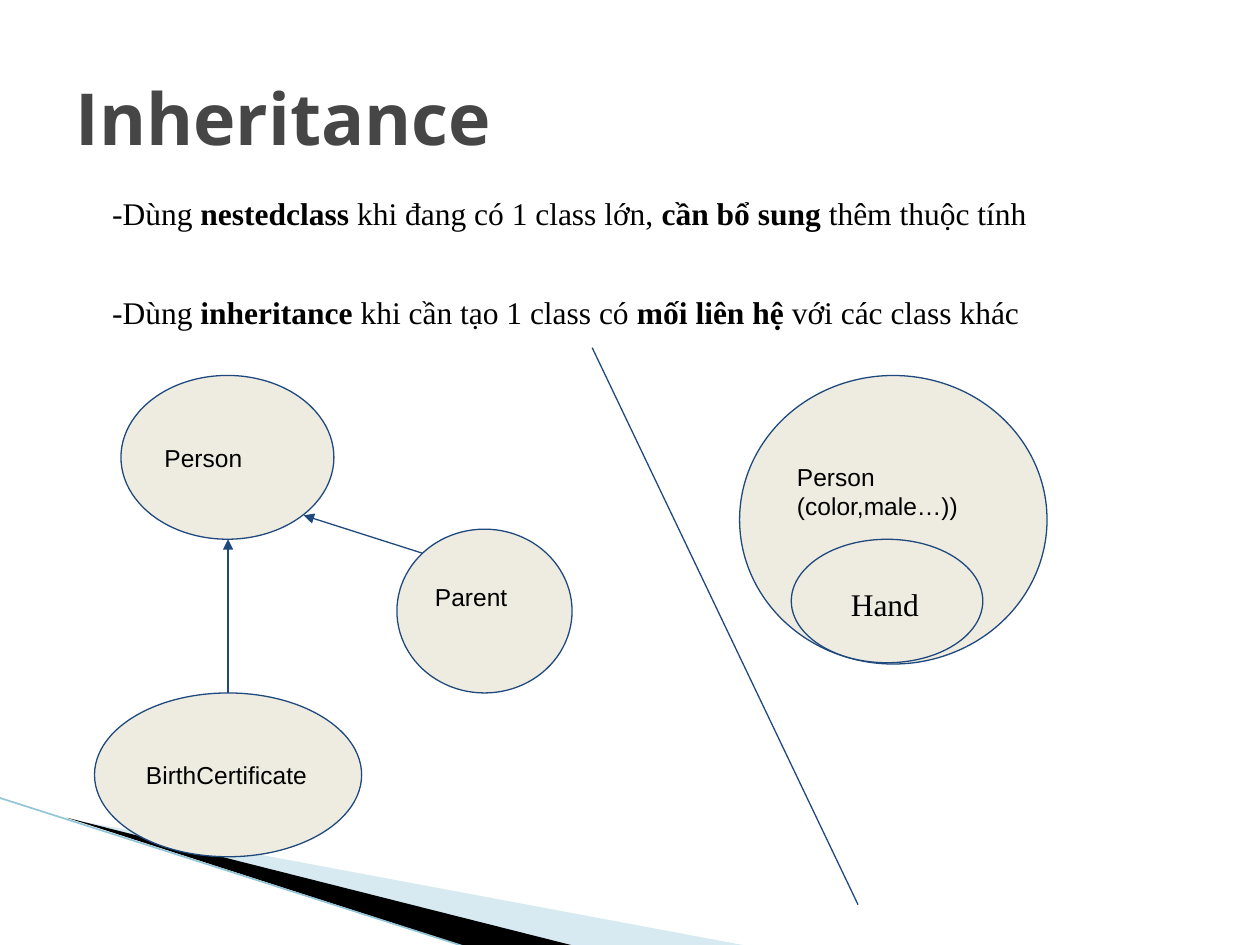
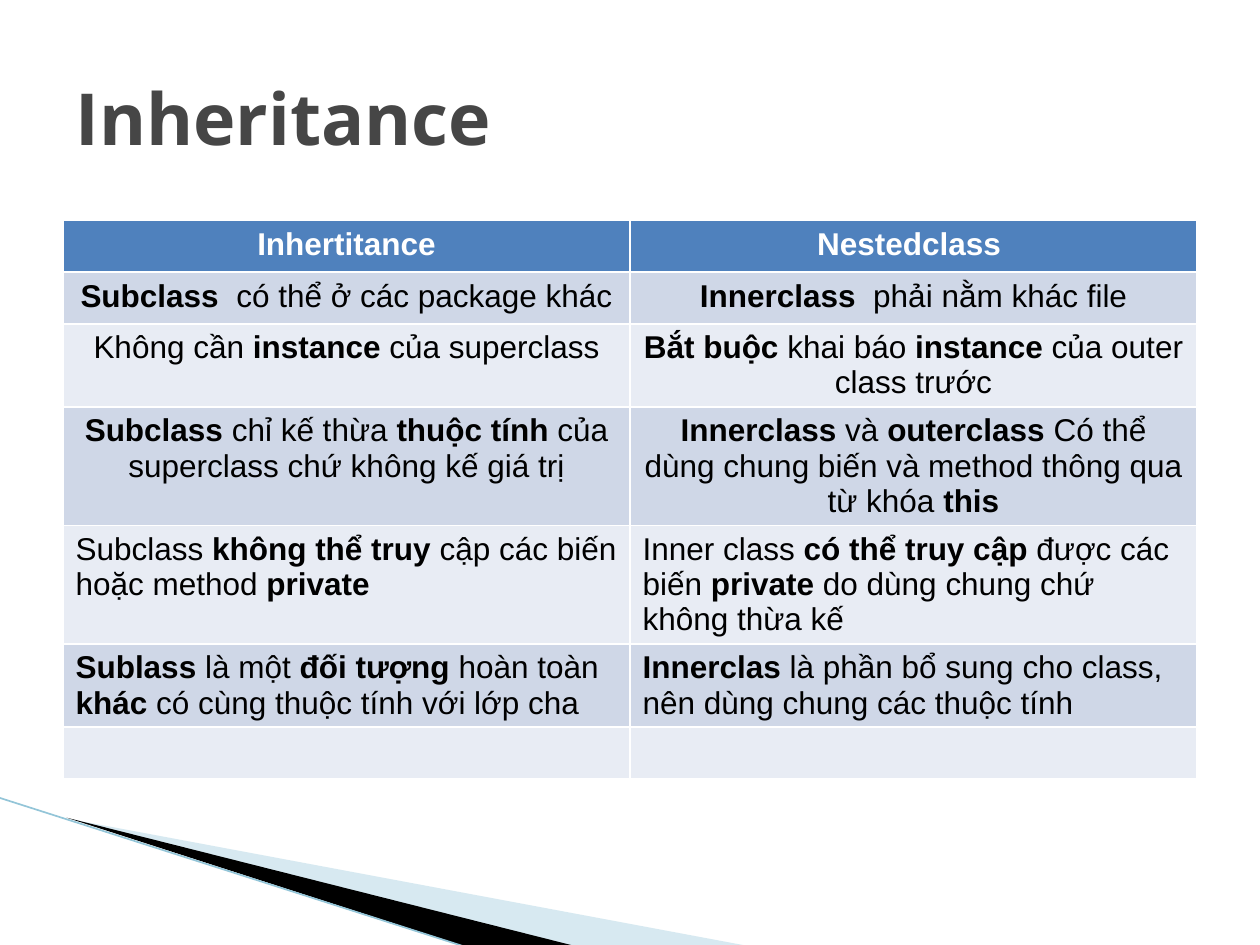
"""Build two slides that compare inheritance with nested classes."""
import pptx
import pptx.dml.color
import pptx.enum.shapes
import pptx.enum.text
import pptx.oxml.ns
import pptx.util
import lxml.etree

Inches = pptx.util.Inches
Pt = pptx.util.Pt
RGB = pptx.dml.color.RGBColor.from_string
qn = pptx.oxml.ns.qn
ALIGN = pptx.enum.text.PP_ALIGN
MIDDLE = pptx.enum.text.MSO_ANCHOR.MIDDLE
NO_FIT = pptx.enum.text.MSO_AUTO_SIZE.NONE

COLORS = {
    "title": "464646", "text": "000000", "white": "FFFFFF",
    "pale band": "9CCADC", "dark band": "000000", "band edge": "93C5D8",
    "ellipse": "EEECE1", "outline": "1F497D",
    "header": "4F81BD", "odd row": "CFD7E7", "even row": "E8ECF4",
}


def write(paragraph, marked_text, font_name, size, color="text", all_bold=False):
    for index, part in enumerate(marked_text.split("*")):
        if part:
            run = paragraph.add_run()
            run.text = part
            run.font.name = font_name
            run.font.size = Pt(size)
            run.font.bold = all_bold or index % 2 == 1
            run.font.color.rgb = RGB(COLORS[color])


def add_line(slide, start, end, color, width, arrow=False):
    points = [Inches(value) for value in start + end]
    line = slide.shapes.add_connector(pptx.enum.shapes.MSO_CONNECTOR.STRAIGHT, *points)
    line.line.color.rgb = RGB(COLORS[color])
    line.line.width = Pt(width)
    properties = line._element.spPr
    if arrow:
        lxml.etree.SubElement(properties.find(qn("a:ln")), qn("a:tailEnd"), type="triangle")
    lxml.etree.SubElement(properties, qn("a:effectLst"))


presentation = pptx.Presentation()
presentation.slide_width = Inches(10)
presentation.slide_height = Inches(7.5)

bands = [
    ("pale band", [(0.55, 6.5), (5.95, 7.51), (4.56, 7.51)]),
    ("dark band", [(0.53, 6.49), (4.57, 7.51), (3.72, 7.52)]),
]
slides = []
for layout_index in (1, 5):
    slide = presentation.slides.add_slide(presentation.slide_layouts[layout_index])
    slides.append(slide)
    for color, corners in bands:
        points = [(Inches(x), Inches(y)) for x, y in corners]
        builder = slide.shapes.build_freeform(*points[0])
        builder.add_line_segments(points[1:], close=True)
        band = builder.convert_to_shape()
        band.shadow.inherit = False
        band.fill.solid()
        band.fill.fore_color.rgb = RGB(COLORS[color])
        band.line.fill.background()
        if color == "pale band":
            fill_color = band._element.spPr.find(qn("a:solidFill"))[0]
            lxml.etree.SubElement(fill_color, qn("a:alpha"), val="40000")
    add_line(slide, (-0.01, 6.33), (3.71, 7.52), "band edge", 0.95)

    title = slide.shapes.title
    title.left, title.top, title.width, title.height = map(Inches, (0.5, 0.3, 9, 1.25))
    title.text_frame.auto_size = NO_FIT
    title.text_frame.vertical_anchor = MIDDLE
    title.text_frame.paragraphs[0].alignment = ALIGN.LEFT
    write(title.text_frame.paragraphs[0], "Inheritance", "Open Sans", 41, "title", True)

diagram_slide, table_slide = slides

body = diagram_slide.placeholders[1]
body.left, body.top, body.width, body.height = map(Inches, (0.56, 1.44, 9, 4.95))
frame = body.text_frame
frame.auto_size = NO_FIT
frame.margin_left = frame.margin_right = frame.margin_top = frame.margin_bottom = Inches(0.1)
advice = [
    ("-Dùng *nestedclass* khi đang có 1 class lớn, *cần bổ sung* thêm thuộc tính", 6.4),
    ("-Dùng *inheritance* khi cần tạo 1 class có *mối liên hệ* với các class khác", 35),
]
for index, (sentence, space_before) in enumerate(advice):
    paragraph = frame.add_paragraph() if index else frame.paragraphs[0]
    paragraph.space_before = Pt(space_before)
    properties = paragraph._p.get_or_add_pPr()
    properties.set("marL", str(Inches(0.38)))
    properties.set("indent", str(Inches(-0.15)))
    lxml.etree.SubElement(properties, qn("a:buNone"))
    write(paragraph, sentence, "Times New Roman", 18)

ellipses = [
    (["Person"], (0.96, 2.98, 1.69, 1.3), "Arial", 14, 0.1, 0.1),
    (["BirthCertificate"], (0.75, 5.5, 2.12, 1.3), "Arial", 14, 0.1, 0.1),
    (["Parent"], (3.15, 4.2, 1.39, 1.3), "Arial", 14, 0.1, 0.32),
    (["Person", "(color,male…))"], (5.87, 2.98, 2.44, 2.29), "Arial", 14, 0.1, 0.55),
    (["Hand"], (6.28, 4.28, 1.52, 0.98), "Times New Roman", 18, 0.25, 0.06),
]
for lines, place, font_name, size, left_margin, bottom_margin in ellipses:
    ellipse = diagram_slide.shapes.add_shape(
        pptx.enum.shapes.MSO_SHAPE.OVAL, *map(Inches, place))
    ellipse.shadow.inherit = False
    ellipse.fill.solid()
    ellipse.fill.fore_color.rgb = RGB(COLORS["ellipse"])
    ellipse.line.color.rgb = RGB(COLORS["outline"])
    ellipse.line.width = Pt(0.75)
    frame = ellipse.text_frame
    frame.word_wrap = True
    frame.vertical_anchor = MIDDLE
    frame.margin_left = Inches(left_margin)
    frame.margin_right = Inches(0.05)
    frame.margin_top = Inches(0.1)
    frame.margin_bottom = Inches(bottom_margin)
    for index, line_text in enumerate(lines):
        paragraph = frame.add_paragraph() if index else frame.paragraphs[0]
        paragraph.alignment = ALIGN.LEFT
        write(paragraph, line_text, font_name, size)

add_line(diagram_slide, (1.81, 5.5), (1.81, 4.28), "outline", 0.75, arrow=True)
add_line(diagram_slide, (3.35, 4.39), (2.41, 4.09), "outline", 0.75, arrow=True)
add_line(diagram_slide, (4.7, 2.76), (6.81, 7.18), "outline", 0.75)

comparison = [
    ("Inhertitance", "Nestedclass "),
    ("*Subclass * có thể ở các package khác", "*Innerclass * phải nằm khác file"),
    ("Không cần *instance* của superclass",
     "*Bắt buộc *khai báo *instance* của outer class trước"),
    ("*Subclass* chỉ kế thừa *thuộc tính* của superclass chứ không kế giá trị",
     "*Innerclass* và *outerclass* Có thể dùng chung biến và method thông qua từ khóa *this*"),
    ("Subclass *không thể truy *cập các biến hoặc method *private *",
     "Inner class *có thể truy cập* được các biến *private* do dùng chung chứ không thừa kế"),
    ("*Sublass* là một *đối tượng* hoàn toàn *khác* có cùng thuộc tính với lớp cha",
     "*Innerclas* là phần bổ sung cho class, nên dùng chung các thuộc tính"),
    ("", ""),
]
row_height = 0.41
centred_rows = 4
table = table_slide.shapes.add_table(
    len(comparison), 2, Inches(0.5), Inches(1.75),
    Inches(9), Inches(row_height * len(comparison))).table
for row_index, row in enumerate(comparison):
    table.rows[row_index].height = Inches(row_height)
    is_header = row_index == 0
    fill_name = "header" if is_header else "odd row" if row_index % 2 else "even row"
    for column_index, cell_text in enumerate(row):
        cell = table.cell(row_index, column_index)
        cell.fill.solid()
        cell.fill.fore_color.rgb = RGB(COLORS[fill_name])
        paragraph = cell.text_frame.paragraphs[0]
        paragraph.alignment = ALIGN.CENTER if row_index < centred_rows else ALIGN.LEFT
        write(paragraph, cell_text, "Arial", 18, "white" if is_header else "text", is_header)

presentation.save("out.pptx")
